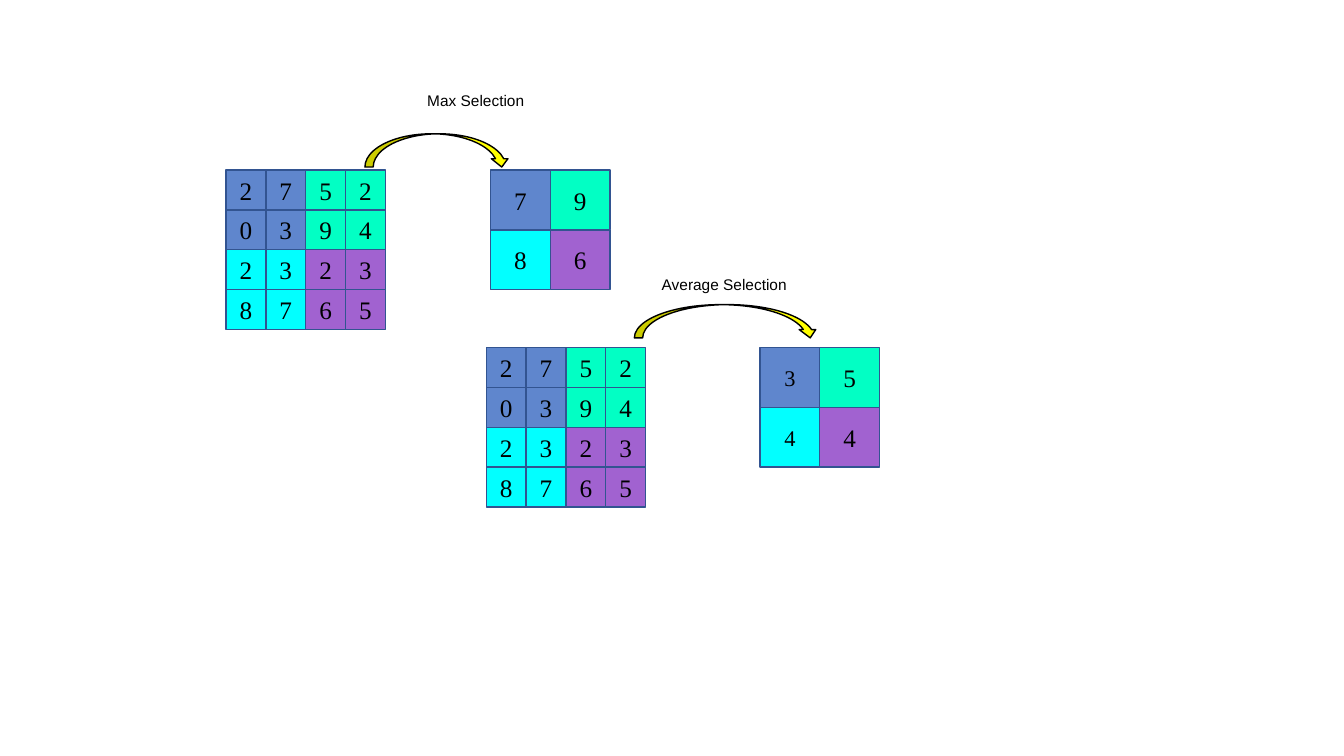
import pptx
import pptx.dml.color
import pptx.enum.shapes
import pptx.enum.text
import pptx.util

WIDE = pptx.util.Inches(13.33)
HIGH = pptx.util.Inches(7.5)
HUES = {
    "blue": "5F86CD", "green": "02FFC4", "cyan": "02FFFF", "purple": "A162D0",
    "edge": "325491", "yellow": "FFFF00", "black": "000000",
}
ZONES = (("blue", "green"), ("cyan", "purple"))
INPUT = ("2752", "0394", "2323", "8765")
SHAPE = pptx.enum.shapes.MSO_SHAPE


def across(share):
    """Percent of the slide's width."""
    return round(WIDE * share / 100)


def down(share):
    """Percent of the slide's height."""
    return round(HIGH * share / 100)


def hue(name):
    return pptx.dml.color.RGBColor.from_string(HUES[name])


def write(shape, text, font, size):
    frame = shape.text_frame
    frame.text = text
    frame.word_wrap = True
    face = frame.paragraphs[0].runs[0].font
    face.name = font
    face.size = pptx.util.Pt(size)
    face.color.rgb = hue("black")
    return frame


def draw(slide, kind, box, fill, line):
    shape = slide.shapes.add_shape(kind, *box)
    shape.shadow.inherit = False
    shape.fill.solid()
    shape.fill.fore_color.rgb = hue(fill)
    shape.line.color.rgb = hue(line)
    shape.line.width = pptx.util.Pt(1)
    return shape


def matrix(slide, left, top, side, rows, sizes=(18, 18)):
    """Square block of digits, coloured by quadrant; sizes are for its left and right half."""
    count = len(rows)
    step = across(side) / count
    for row, digits in enumerate(rows):
        for col, digit in enumerate(digits):
            half = col * 2 // count
            box = (round(across(left) + col * step), round(down(top) + row * step),
                   round(step), round(step))
            cell = draw(slide, SHAPE.RECTANGLE, box, ZONES[row * 2 // count][half], "edge")
            frame = write(cell, digit, "Times New Roman", sizes[half])
            frame.margin_left = frame.margin_right = 0
            frame.vertical_anchor = pptx.enum.text.MSO_ANCHOR.MIDDLE
            frame.paragraphs[0].alignment = pptx.enum.text.PP_ALIGN.CENTER


def arrow(slide, left, top, width):
    box = (across(left), down(top), across(width), down(4.4))
    draw(slide, SHAPE.CURVED_DOWN_ARROW, box, "yellow", "black")


def label(slide, left, top, width, text):
    box = slide.shapes.add_textbox(across(left), down(top), across(width), down(3.85))
    frame = write(box, text, "Arial", 11)
    frame.auto_size = pptx.enum.text.MSO_AUTO_SIZE.SHAPE_TO_FIT_TEXT


def main():
    deck = pptx.Presentation()
    deck.slide_width, deck.slide_height = WIDE, HIGH
    slide = deck.slides.add_slide(deck.slide_layouts[6])

    # Max pooling
    label(slide, 31.05, 11.35, 9.1, "Max Selection")
    arrow(slide, 27.15, 17.7, 10.8)
    matrix(slide, 16.82, 22.5, 11.85, INPUT)
    matrix(slide, 36.5, 22.5, 8.89, ("79", "86"))

    # Average pooling
    label(slide, 48.5, 35.7, 11.2, "Average Selection")
    arrow(slide, 47.2, 40.3, 13.7)
    matrix(slide, 36.18, 46, 11.85, INPUT)
    matrix(slide, 56.55, 46, 8.89, ("35", "44"), (16, 18))

    deck.save("out.pptx")


if __name__ == "__main__":
    main()
